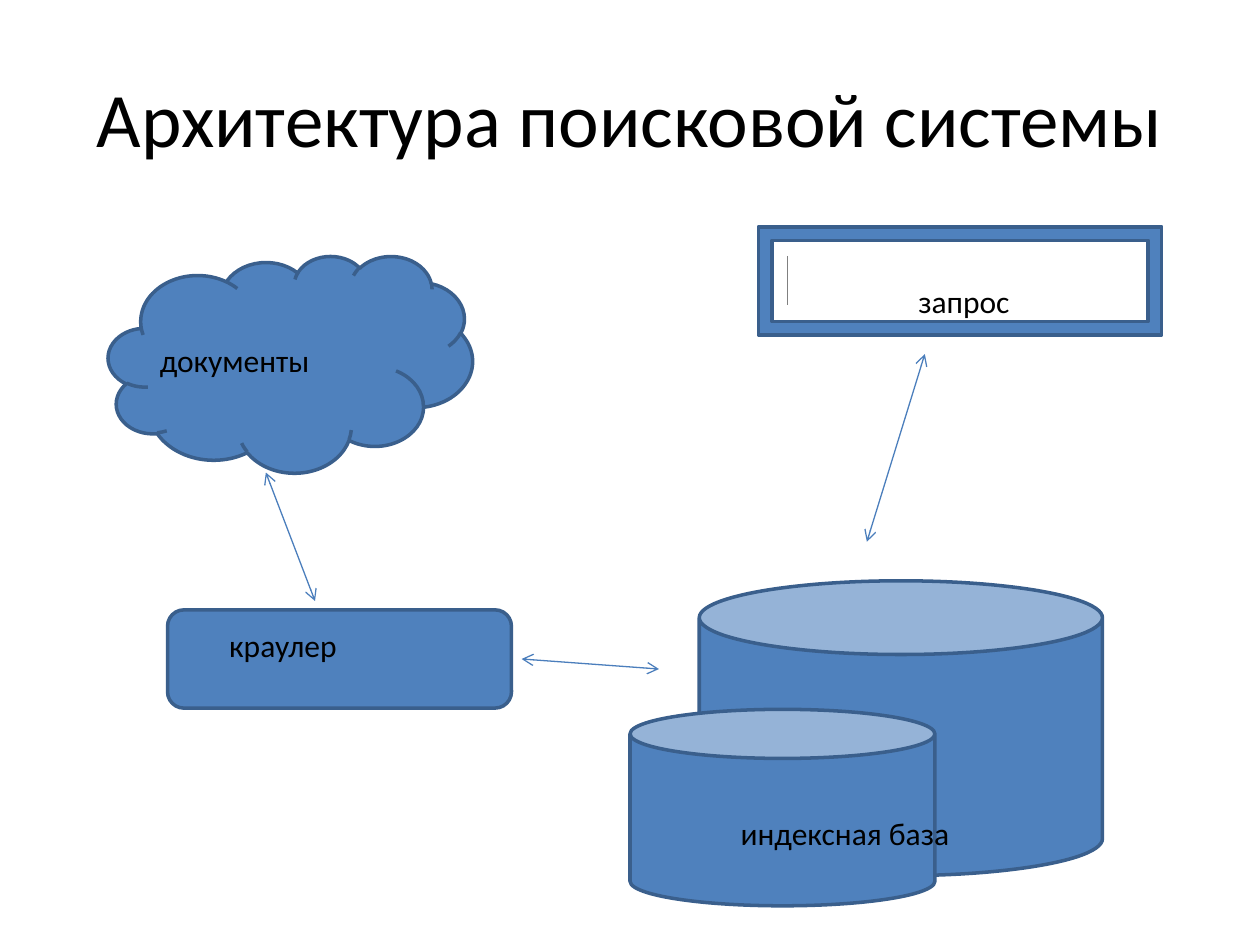
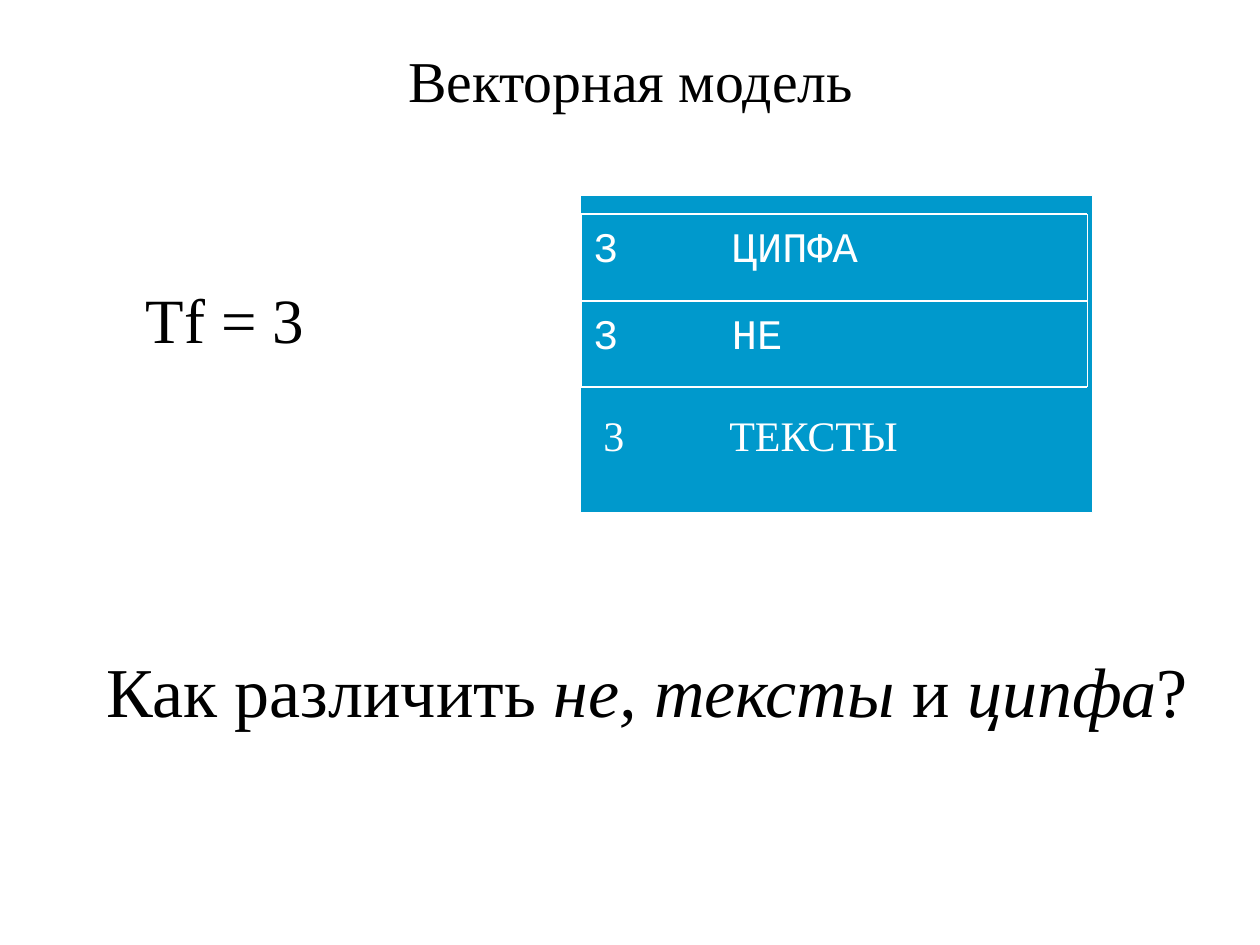
from dataclasses import dataclass

from lxml import etree
from pptx import Presentation
from pptx import util as u
from pptx.dml.color import RGBColor as Rgb
from pptx.enum import shapes, text
from pptx.oxml import ns

Kind = shapes.MSO_SHAPE
Align = text.PP_ALIGN
Anchor = text.MSO_ANCHOR


@dataclass(frozen=True)
class Theme:
    blue: str = "4F81BD"
    edge: str = "3A5F8C"
    arrow: str = "4B7EBC"
    gray: str = "808080"
    cyan: str = "0099CC"
    white: str = "FFFFFF"
    black: str = "000000"
    sans: str = "Calibri"
    serif: str = "Times New Roman"
    mono: str = "Courier New"
    head: int = 44
    sub: int = 33
    ask: int = 40
    fact: int = 36
    row: int = 24
    note: int = 18


T = Theme()


def box(*sides):
    return [u.Inches(side) for side in sides]


def sub(node, tag, **attrs):
    return etree.SubElement(node, ns.qn(tag), attrs)


def label(slide, place, words, face, size, color=T.black, wrap=True, tab=None):
    """Add a text box and return its paragraph; words in a tuple become runs, every second one italic."""
    frame = slide.shapes.add_textbox(*box(*place)).text_frame
    frame.word_wrap = wrap
    para = frame.paragraphs[0]
    parts = (words,) if isinstance(words, str) else words
    for i, part in enumerate(parts):
        run = para.add_run()
        run.text = part
        if i % 2:
            run.font.italic = True
    if tab:
        stops = sub(para._p.get_or_add_pPr(), "a:tabLst")
        sub(stops, "a:tab", pos=str(u.Inches(tab)), algn="l")
    para.font.name = face
    para.font.size = u.Pt(size)
    para.font.color.rgb = Rgb.from_string(color)
    return para


def title(slide, place, words, face, size):
    para = label(slide, place, words, face, size)
    para.alignment = Align.CENTER
    slide.shapes[-1].text_frame.vertical_anchor = Anchor.MIDDLE
    return para


def block(slide, kind, place, fill=T.blue, edge=T.edge, width=2):
    shape = slide.shapes.add_shape(kind, *box(*place))
    shape.shadow.inherit = False
    shape.fill.solid()
    shape.fill.fore_color.rgb = Rgb.from_string(fill)
    shape.line.color.rgb = Rgb.from_string(edge)
    shape.line.width = u.Pt(width)


def link(slide, ends, color=T.arrow, width=0.75, arrows=True):
    line = slide.shapes.add_connector(shapes.MSO_CONNECTOR.STRAIGHT, *box(*ends))
    line.line.color.rgb = Rgb.from_string(color)
    line.line.width = u.Pt(width)
    if arrows:
        for tip in ("a:headEnd", "a:tailEnd"):
            sub(line.line._get_or_add_ln(), tip, type="arrow")
    sub(line._element.spPr, "a:effectLst")


def grid(slide, rows, cols, lines):
    """Set words in cells between the given column and line places, then rule the outside and each line."""
    for words, top, end in zip(rows, lines, lines[1:]):
        for word, left, right in zip(words, cols, cols[1:]):
            place = (left, top, right - left, end - top)
            para = label(slide, place, word, T.mono, T.row, T.white)
            para.alignment = Align.JUSTIFY
            para.space_before = u.Pt(4.8)
    left, right, top, end = cols[0], cols[-1], lines[0], lines[-1]
    rules = [(left, y, right, y) for y in lines]
    rules += [(x, top, x, end) for x in (left, right)]
    for ends in rules:
        link(slide, ends, T.white, 1, arrows=False)


def engine(slide):
    block(slide, Kind.CLOUD, (0.86, 2.03, 2.89, 1.72))
    title(slide, (0.5, 0.3, 9, 1.25), "Архитектура поисковой системы", T.sans, T.head)
    block(slide, Kind.FRAME, (6.02, 1.8, 3.2, 0.86))
    block(slide, Kind.ROUNDED_RECTANGLE, (1.33, 4.84, 2.73, 0.78))
    block(slide, Kind.CAN, (5.55, 4.61, 3.2, 2.34))
    block(slide, Kind.CAN, (5, 5.63, 2.42, 1.56))
    for words, left, top, width in (
        ("документы", 1.17, 2.66, 1.64),
        ("краулер", 1.72, 4.92, 2.11),
        ("индексная база", 5.78, 6.41, 2.34),
        ("запрос", 7.19, 2.19, 1.56),
    ):
        label(slide, (left, top, width, 0.4), words, T.sans, T.note)
    link(slide, (6.25, 2.03, 6.25, 2.42), T.gray, 1, arrows=False)
    for ends in (
        (2.11, 3.75, 2.5, 4.77),
        (4.14, 5.23, 5.23, 5.31),
        (7.34, 2.81, 6.88, 4.3),
    ):
        link(slide, ends)


def vector(slide):
    block(slide, Kind.RECTANGLE, (4.61, 1.55, 4.06, 2.52), T.cyan, T.white, 0.75)
    rows = (("3", " ЦИПФА"), ("3", " НЕ"))
    grid(slide, rows, (4.61, 5.51, 8.63), (1.7, 2.39, 3.07))
    query = ("Как различить ", "не, тексты ", "и ", "ципфа", "?")
    para = label(slide, (0.75, 5.09, 8.82, 0.77), query, T.serif, T.ask)
    para.space_before = u.Pt(25)
    label(slide, (4.69, 3.2, 3.94, 0.5), "3\tТЕКСТЫ", T.serif, T.row, T.white, tab=1)
    para = title(slide, (0.7, 0.39, 8.61, 0.59), "Векторная модель", T.serif, T.sub)
    para.line_spacing = 0.8
    label(slide, (1.06, 2.18, 1.56, 0.71), "Tf = 3", T.serif, T.fact, wrap=False)


def main():
    deck = Presentation()
    deck.slide_width, deck.slide_height = box(10, 7.5)
    for draw in (engine, vector):
        draw(deck.slides.add_slide(deck.slide_layouts[6]))
    deck.save("out.pptx")


if __name__ == "__main__":
    main()
